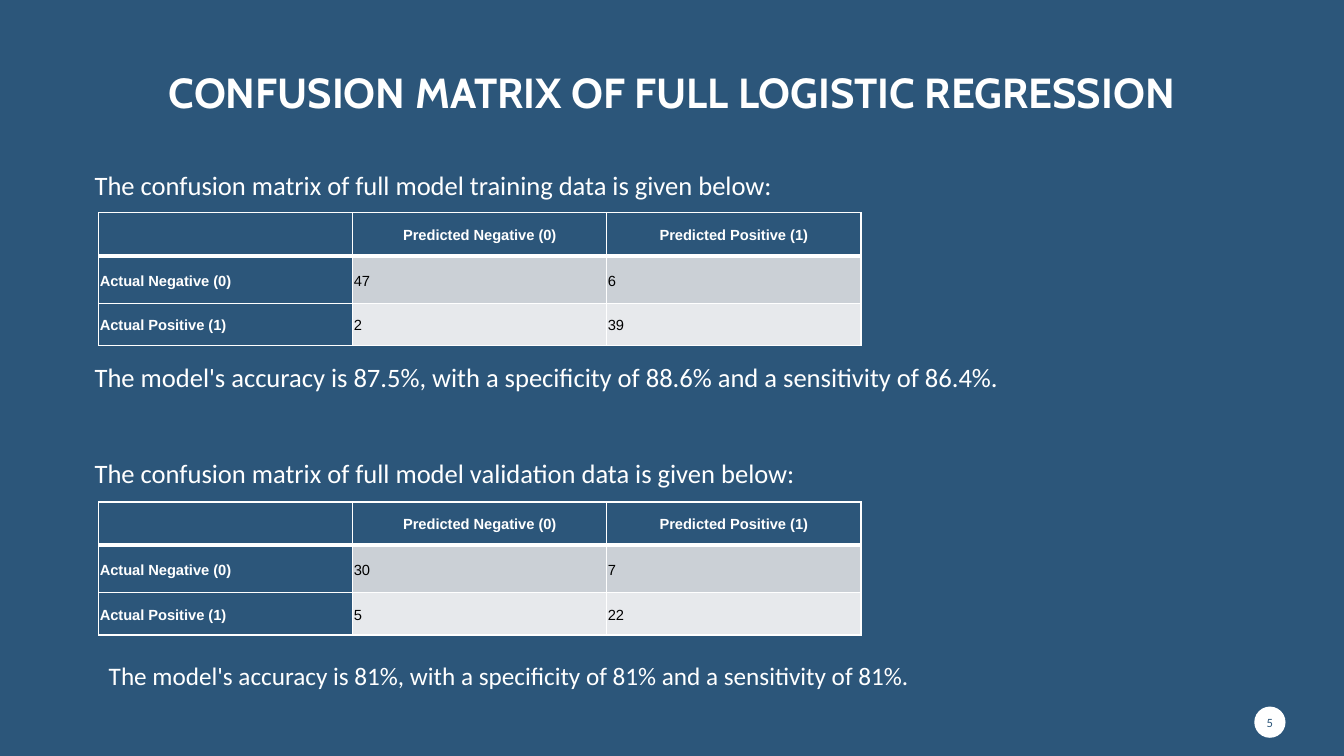
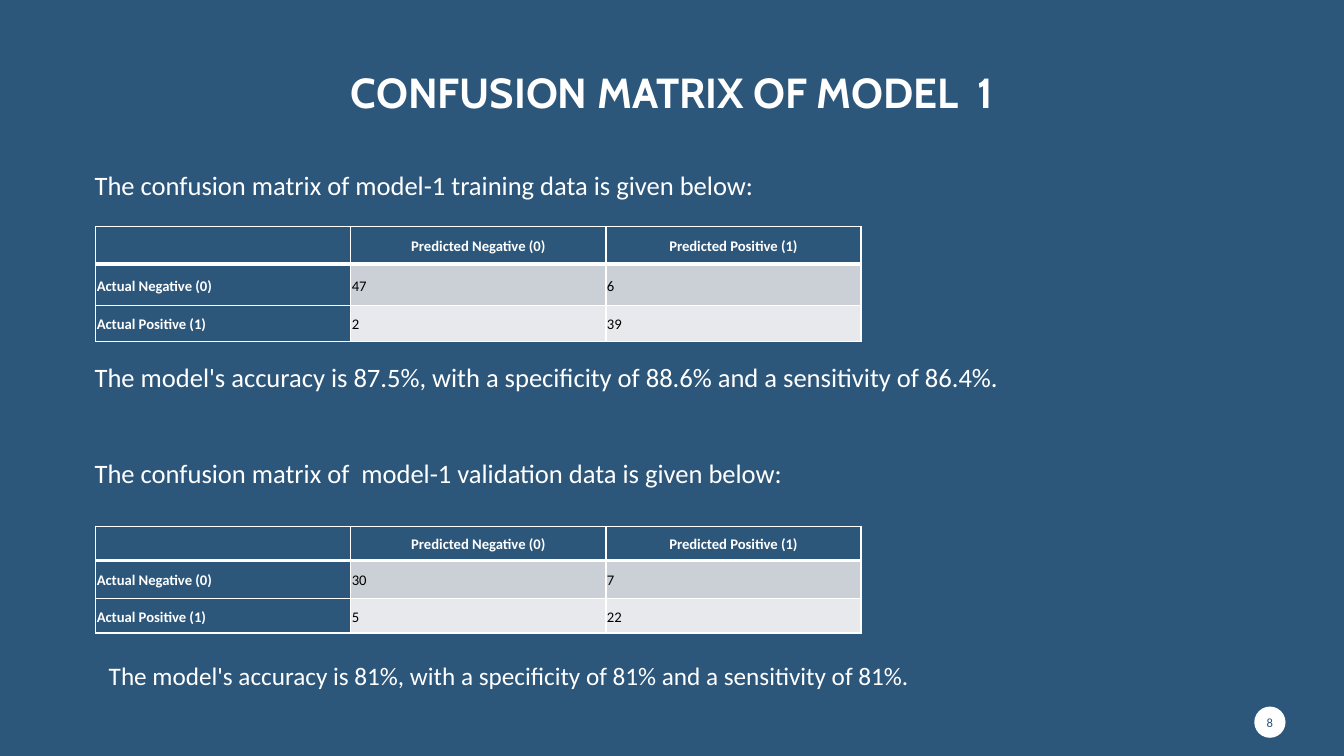
from lxml.etree import SubElement
from pptx import Presentation
from pptx.dml.color import RGBColor
from pptx.enum.shapes import MSO_SHAPE
from pptx.enum.text import MSO_ANCHOR, PP_ALIGN
from pptx.oxml.ns import qn
from pptx.util import Inches, Pt

BLUE = RGBColor(0x2C, 0x56, 0x7A)
WHITE = RGBColor(0xFF, 0xFF, 0xFF)
BLACK = RGBColor(0x00, 0x00, 0x00)
BANDS = [RGBColor(0xCB, 0xD0, 0xD6), RGBColor(0xE7, 0xE9, 0xEC)]
BODY_FONT = "Calibri"

HEADER = ["", "Predicted Negative (0)", "Predicted Positive (1)"]
TRAINING = [HEADER, ["Actual Negative (0)", "47", "6"], ["Actual Positive (1)", "2", "39"]]
VALIDATION = [HEADER, ["Actual Negative (0)", "30", "7"], ["Actual Positive (1)", "5", "22"]]
TRAINING_RESULT = "The model's accuracy is 87.5%, with a specificity of 88.6% and a sensitivity of 86.4%."
VALIDATION_RESULT = "The model's accuracy is 81%, with a specificity of 81% and a sensitivity of 81%."

# Each matrix: values, top, row heights
PAGES = [
    {
        "title": "CONFUSION MATRIX OF FULL LOGISTIC REGRESSION",
        "number": "5",
        "training": "The confusion matrix of full model training data is given below:",
        "validation": "The confusion matrix of full model validation data is given below:",
        "font": "Arial", "left": 0.98, "column": 2.52,
        "matrices": [(TRAINING, 2.11, [0.43, 0.47, 0.42]),
                     (VALIDATION, 4.98, [0.43, 0.47, 0.42])],
    },
    {
        "title": "CONFUSION MATRIX OF MODEL  1",
        "number": "8",
        "training": "The confusion matrix of model-1 training data is given below:",
        "validation": "The confusion matrix of  model-1 validation data is given below:",
        "font": BODY_FONT, "left": 0.95, "column": 2.53,
        "matrices": [(TRAINING, 2.25, [0.37, 0.41, 0.36]),
                     (VALIDATION, 5.22, [0.34, 0.38, 0.34])],
    },
]


def write(frame, text, size, color, font=BODY_FONT, bold=False, align=PP_ALIGN.LEFT, spacing=None):
    para = frame.paragraphs[0]
    para.text = text
    para.alignment = align
    para.line_spacing = spacing
    para.font.name = font
    para.font.size = Pt(size)
    para.font.bold = bold
    para.font.color.rgb = color


def add_matrix(page, values, left, top, column_width, row_heights, font):
    frame = page.shapes.add_table(
        len(values), len(HEADER), Inches(left), Inches(top),
        Inches(column_width * len(HEADER)), Inches(sum(row_heights)))
    table = frame.table
    for column in table.columns:
        column.width = Inches(column_width)
    for row_index, row_values in enumerate(values):
        table.rows[row_index].height = Inches(row_heights[row_index])
        for column_index, value in enumerate(row_values):
            cell = table.cell(row_index, column_index)
            in_header = row_index == 0
            is_label = in_header or column_index == 0
            cell.vertical_anchor = MSO_ANCHOR.MIDDLE
            cell.margin_left = cell.margin_right = Inches(0.01)
            cell.margin_top = cell.margin_bottom = Inches(0.01)
            write(cell.text_frame, value, 10.5, WHITE if is_label else BLACK, font, is_label,
                  PP_ALIGN.CENTER if in_header else PP_ALIGN.LEFT, 1.15)

            # White borders, thick under the header; the fill must follow them
            properties = cell._tc.get_or_add_tcPr()
            for side in ("L", "R", "T", "B"):
                under_header = (row_index, side) in ((0, "B"), (1, "T"))
                line = SubElement(properties, qn(f"a:ln{side}"), w=str(Pt(3 if under_header else 1)))
                SubElement(SubElement(line, qn("a:solidFill")), qn("a:srgbClr"), val=str(WHITE))
            cell.fill.solid()
            cell.fill.fore_color.rgb = BLUE if is_label else BANDS[row_index - 1]


deck = Presentation()
deck.slide_width = Inches(13.33)
deck.slide_height = Inches(7.5)

# Shared background
background = deck.slide_master.background.fill
background.solid()
background.fore_color.rgb = BLUE

for content in PAGES:
    page = deck.slides.add_slide(deck.slide_layouts[6])

    # Title
    title = page.shapes.add_textbox(Inches(1.14), Inches(0.45), Inches(11.05), Inches(0.77))
    title.text_frame.word_wrap = True
    title.text_frame.vertical_anchor = MSO_ANCHOR.BOTTOM
    write(title.text_frame, content["title"], 30, WHITE, "Cabin", True, PP_ALIGN.CENTER, 0.9)

    # Page number badge
    badge = page.shapes.add_shape(
        MSO_SHAPE.OVAL, Inches(12.44), Inches(7.01), Inches(0.31), Inches(0.31))
    badge.shadow.inherit = False
    badge.fill.solid()
    badge.fill.fore_color.rgb = WHITE
    badge.line.fill.background()
    number = badge.text_frame
    number.margin_left = number.margin_right = number.margin_top = number.margin_bottom = 0
    number.vertical_anchor = MSO_ANCHOR.MIDDLE
    write(number, content["number"], 9, BLUE, align=PP_ALIGN.CENTER)

    # Confusion matrices
    for values, top, row_heights in content["matrices"]:
        add_matrix(page, values, content["left"], top, content["column"], row_heights, content["font"])

    # Introductions and results
    for text, left, top, size in [
        (content["training"], 0.84, 1.63, 19),
        (TRAINING_RESULT, 0.84, 3.53, 19),
        (content["validation"], 0.84, 4.48, 19),
        (VALIDATION_RESULT, 0.98, 6.5, 18),
    ]:
        box = page.shapes.add_textbox(Inches(left), Inches(top), Inches(9.42), Inches(0.74))
        box.text_frame.word_wrap = True
        write(box.text_frame, text, size, WHITE)

deck.save("out.pptx")
